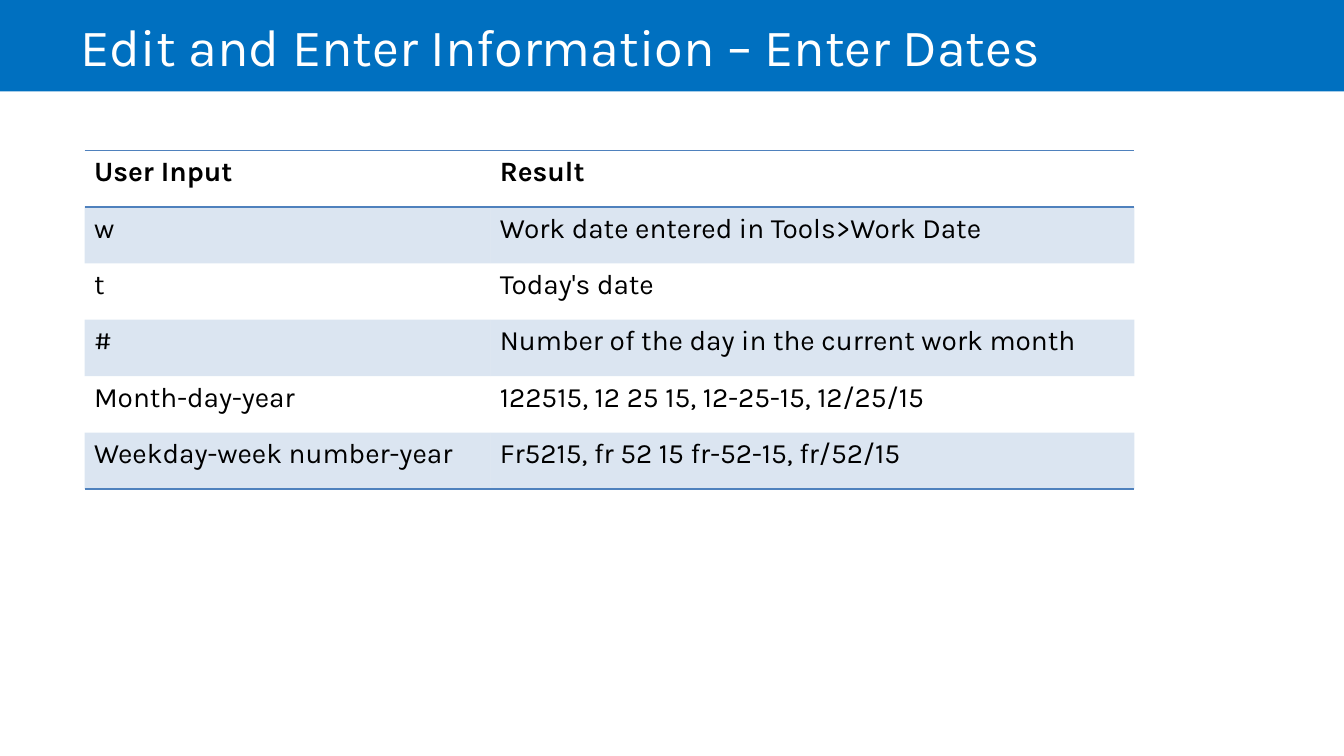
import pptx
import pptx.dml.color
import pptx.enum.shapes
import pptx.enum.text
import pptx.oxml
import pptx.oxml.ns
import pptx.util
from pptx.util import Inches

COLORS = {"band": "0070C0", "title": "FFFFFF", "text": "000000", "accent": "4F81BD"}
FONT = "Karla"
PLAIN_TABLE_STYLE = "{2D5ABB26-0587-4C30-8999-92F81FD0307C}"
COLUMN_WIDTHS = (3.02, 4.79)
ROW_HEIGHT = 0.42
ROWS = [
    ("User Input", "Result"),
    ("w", "Work date entered in Tools>Work Date"),
    ("t", "Today's date"),
    ("#", "Number of the day in the current work month"),
    ("Month-day-year", "122515, 12 25 15, 12-25-15, 12/25/15"),
    ("Weekday-week number-year", "Fr5215, fr 52 15 fr-52-15, fr/52/15"),
]


def rgb(name):
    """Return the named palette colour."""
    return pptx.dml.color.RGBColor.from_string(COLORS[name])


def add_span(para, text, size, color, bold=False):
    """Add one formatted run to a paragraph."""
    span = para.add_run()
    span.text = text
    span.font.name = FONT
    span.font.size = pptx.util.Pt(size)
    span.font.bold = bold
    span.font.color.rgb = rgb(color)


def add_title(page, text):
    """Place the title over a full-width band."""
    band = page.shapes.add_shape(
        pptx.enum.shapes.MSO_SHAPE.RECTANGLE, 0, 0, Inches(10), Inches(0.68))
    band.shadow.inherit = False
    band.fill.solid()
    band.fill.fore_color.rgb = rgb("band")
    band.line.fill.background()
    title = page.shapes.title
    title._element.addprevious(band._element)
    title.left, title.top = Inches(0.5), Inches(0)
    title.width, title.height = Inches(9), Inches(0.68)
    frame = title.text_frame
    frame.auto_size = pptx.enum.text.MSO_AUTO_SIZE.NONE
    frame.vertical_anchor = pptx.enum.text.MSO_ANCHOR.MIDDLE
    para = frame.paragraphs[0]
    para.alignment = pptx.enum.text.PP_ALIGN.LEFT
    add_span(para, text, 28, "title")


def set_borders(cell, sides):
    """Draw accent lines on the given sides, listed in schema order."""
    properties = cell._tc.get_or_add_tcPr()
    for position, side in enumerate(sides):
        properties.insert(position, pptx.oxml.parse_xml(
            f'<a:{side} {pptx.oxml.ns.nsdecls("a")} w="12700"><a:solidFill>'
            f'<a:srgbClr val="{COLORS["accent"]}"/></a:solidFill></a:{side}>'))


def shade(cell):
    """Fill a cell with the accent colour at 20% opacity."""
    cell.fill.solid()
    cell.fill.fore_color.rgb = rgb("accent")
    color = cell._tc.tcPr.find(".//" + pptx.oxml.ns.qn("a:srgbClr"))
    color.append(pptx.oxml.parse_xml(
        f'<a:alpha {pptx.oxml.ns.nsdecls("a")} val="20000"/>'))


def fill_cell(cell, text, row):
    """Write a cell and give it the look of its row."""
    cell.margin_left = cell.margin_right = Inches(0.07)
    cell.margin_top = cell.margin_bottom = Inches(0.04)
    add_span(cell.text_frame.paragraphs[0], text, 15, "text", bold=row == 0)
    if row % 2:
        shade(cell)
    else:
        cell.fill.background()
    if row == 0:
        set_borders(cell, ("lnT", "lnB"))
    elif row == len(ROWS) - 1:
        set_borders(cell, ("lnB",))


def add_date_table(page):
    """Add the table of date inputs and results."""
    frame = page.shapes.add_table(
        len(ROWS), len(COLUMN_WIDTHS), Inches(0.63), Inches(1.12),
        Inches(sum(COLUMN_WIDTHS)), Inches(ROW_HEIGHT * len(ROWS)))
    table = frame.table
    table._tbl.tblPr.find(pptx.oxml.ns.qn("a:tableStyleId")).text = PLAIN_TABLE_STYLE
    for column, width in zip(table.columns, COLUMN_WIDTHS):
        column.width = Inches(width)
    for row, texts in enumerate(ROWS):
        table.rows[row].height = Inches(ROW_HEIGHT)
        for column, text in enumerate(texts):
            fill_cell(table.cell(row, column), text, row)


def main():
    """Build and save the deck."""
    deck = pptx.Presentation()
    deck.slide_width, deck.slide_height = Inches(10), Inches(10 * 9 / 16)
    page = deck.slides.add_slide(deck.slide_layouts[5])
    add_title(page, "Edit and Enter Information – Enter Dates")
    add_date_table(page)
    deck.save("out.pptx")


if __name__ == "__main__":
    main()
